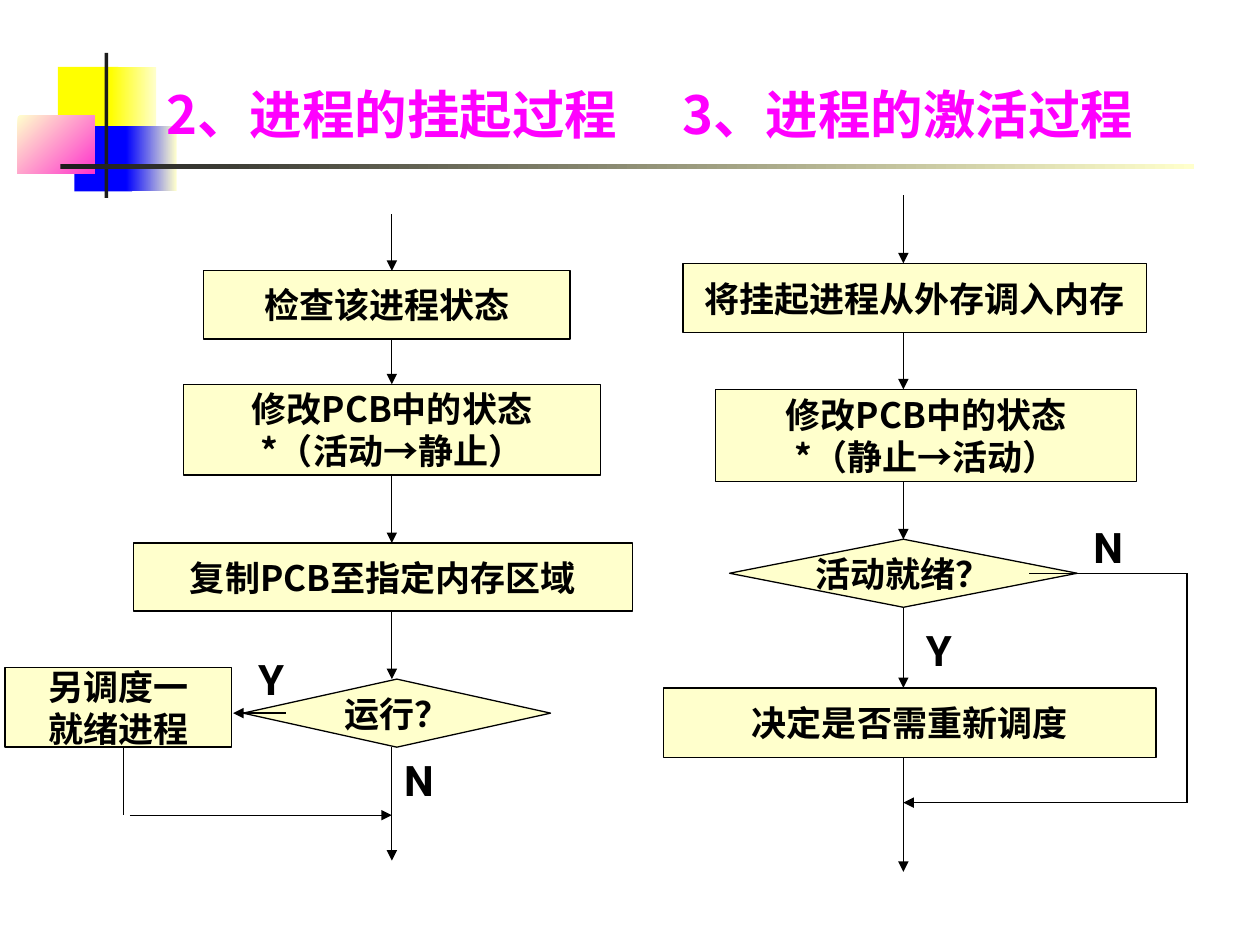
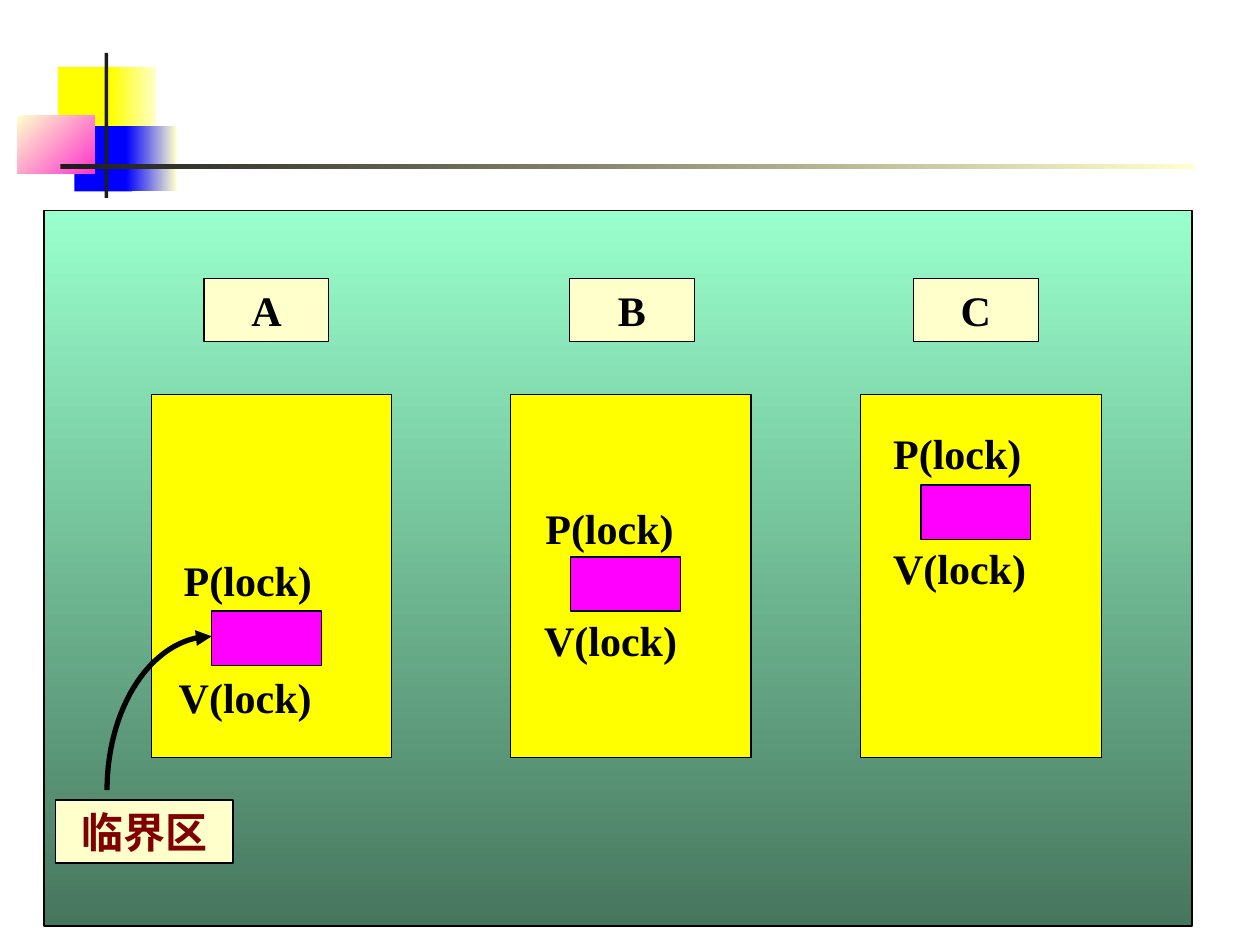
from math import cos, pi, sin

from lxml.etree import SubElement
from pptx import Presentation
from pptx.dml.color import RGBColor
from pptx.enum.shapes import MSO_CONNECTOR, MSO_SHAPE
from pptx.enum.text import MSO_ANCHOR, PP_ALIGN
from pptx.oxml.ns import qn
from pptx.util import Inches, Pt

BLACK = RGBColor(0x00, 0x00, 0x00)
CHARCOAL = RGBColor(0x1C, 0x1C, 0x1C)
YELLOW = RGBColor(0xFF, 0xFF, 0x00)
CREAM = RGBColor(0xFF, 0xFF, 0xCC)
BLUE = RGBColor(0x00, 0x00, 0xFF)
PINK = RGBColor(0xFF, 0x33, 0xCC)
MAGENTA = RGBColor(0xFF, 0x00, 0xFF)
MINT = RGBColor(0x99, 0xFF, 0xCC)
FOREST = RGBColor(0x47, 0x76, 0x5E)
MAROON = RGBColor(0x80, 0x00, 0x00)

CHINESE = "Noto Sans CJK SC"
LETTER = "Roboto"
SERIF = "Times New Roman"

TITLE_ONLY, BLANK = 5, 6
TOP, BOTTOM = 0, 2
PROCESS, DECISION = MSO_SHAPE.FLOWCHART_PROCESS, MSO_SHAPE.FLOWCHART_DECISION


def add_box(page, left, top, width, height, fill, kind=MSO_SHAPE.RECTANGLE, outlined=True):
    """Add a shape; a fill of (start, end, clockwise angle) makes a gradient."""
    box = page.shapes.add_shape(kind, Inches(left), Inches(top), Inches(width), Inches(height))
    box.shadow.inherit = False
    if isinstance(fill, RGBColor):
        box.fill.solid()
        box.fill.fore_color.rgb = fill
    else:
        start, end, angle = fill
        box.fill.gradient()
        box.fill.gradient_angle = 360 - angle
        for stop, colour in zip(box.fill.gradient_stops, (start, end)):
            stop.color.rgb = colour
    if outlined:
        box.line.color.rgb = BLACK
        box.line.width = Pt(0.75)
    else:
        box.line.fill.background()
    return box


def write(frame, text, size, font, colour=BLACK, align=PP_ALIGN.CENTER):
    """Write one bold paragraph a line, with each arrow sign in the serif font."""
    for number, line in enumerate(text.split("\n")):
        para = frame.add_paragraph() if number else frame.paragraphs[0]
        para.alignment = align
        for part in filter(None, line.partition("→")):
            span = para.add_run()
            span.text = part
            span.font.size = Pt(size)
            span.font.bold = True
            span.font.color.rgb = colour
            span.font.name = SERIF if part == "→" else font
            east_asian = SubElement(span.font._element, qn("a:ea"))
            east_asian.set("typeface", CHINESE)


def add_label(page, left, top, width, text, font):
    label = page.shapes.add_textbox(Inches(left), Inches(top), Inches(width), Inches(0.5))
    label.text_frame.word_wrap = True
    write(label.text_frame, text, 24, font, align=PP_ALIGN.LEFT)


def add_tag(page, left, top, width, text, colour=BLACK):
    tag = add_box(page, left, top, width, 0.5, CREAM)
    tag.text_frame.vertical_anchor = MSO_ANCHOR.MIDDLE
    write(tag.text_frame, text, 24, SERIF, colour)


def add_step(page, centre, top, width, height, text, kind=PROCESS):
    step = add_box(page, centre - width / 2, top, width, height, CREAM, kind)
    step.text_frame.word_wrap = False
    step.text_frame.vertical_anchor = MSO_ANCHOR.MIDDLE
    write(step.text_frame, text, 20, CHINESE)
    return step


def add_arrowhead(line):
    outline = line.element.spPr.find(qn("a:ln"))
    SubElement(outline, qn("a:tailEnd")).set("type", "triangle")


def add_line(page, start, end, arrow=True):
    points = [Inches(value) for value in (*start, *end)]
    line = page.shapes.add_connector(MSO_CONNECTOR.STRAIGHT, *points)
    line.line.color.rgb = BLACK
    line.line.width = Pt(0.75)
    if arrow:
        add_arrowhead(line)
    SubElement(line.element.spPr, qn("a:effectLst"))
    return line


def add_flow(page, axis, entry, steps, end):
    """Stack steps and run arrows down the axis, joined to steps centred on it."""
    previous, start = None, entry
    for centre, top, width, height, *content in steps:
        step = add_step(page, centre, top, width, height, *content)
        arrow = add_line(page, (axis, start), (axis, top))
        if previous:
            arrow.begin_connect(previous, BOTTOM)
        previous = step if centre == axis else None
        if previous:
            arrow.end_connect(step, TOP)
        start = top + height
    arrow = add_line(page, (axis, start), (axis, end))
    if previous:
        arrow.begin_connect(previous, BOTTOM)


def add_curved_arrow(page, left, top, width, height):
    """Draw a quarter ellipse from the bottom left up to the top right."""
    angles = [pi / 2 * number / 30 for number in range(31)]
    points = [(Inches(left + width * (1 - cos(angle))),
               Inches(top + height * (1 - sin(angle)))) for angle in angles]
    builder = page.shapes.build_freeform(*points[0])
    builder.add_line_segments(points[1:], close=False)
    curve = builder.convert_to_shape()
    curve.shadow.inherit = False
    curve.fill.background()
    curve.line.color.rgb = BLACK
    curve.line.width = Pt(3)
    add_arrowhead(curve)


def add_page(deck, layout):
    """Add a page with the coloured squares and the crossing rules."""
    page = deck.slides.add_slide(deck.slide_layouts[layout])
    for left, top, width, height, fill in (
        (0.46, 0.53, 0.48, 0.52, YELLOW),
        (0.88, 0.53, 0.36, 0.52, (YELLOW, CREAM, 0)),
        (0.59, 1, 0.46, 0.52, BLUE),
        (1, 1, 0.4, 0.52, (BLUE, CREAM, 0)),
        (0.14, 0.92, 0.61, 0.46, (CREAM, PINK, 45)),
        (0.83, 0.42, 0.03, 1.15, CHARCOAL),
        (0.48, 1.3, 9, 0.04, (CHARCOAL, CREAM, 0)),
    ):
        add_box(page, left, top, width, height, fill, outlined=False)
    return page


def place_heading(heading, left, width, text):
    heading.left, heading.top = Inches(left), Inches(0.6)
    heading.width, heading.height = Inches(width), Inches(0.6)
    heading.text_frame.word_wrap = True
    heading.text_frame.vertical_anchor = MSO_ANCHOR.TOP
    write(heading.text_frame, text, 30, CHINESE, MAGENTA)


def add_suspend_flow(page):
    axis = 3.11
    add_flow(page, axis, 1.7, (
        (3.07, 2.15, 2.91, 0.54, "检查该进程状态"),
        (axis, 3.05, 3.31, 0.72, "修改PCB中的状态\n*（活动→静止）"),
        (3.04, 4.31, 3.96, 0.54, "复制PCB至指定内存区域"),
        (3.15, 5.39, 2.44, 0.54, "运行？", DECISION),
    ), 6.83)
    add_step(page, 0.94, 5.3, 1.8, 0.63, "另调度一\n就绪进程")
    add_line(page, (2.27, 5.66), (1.85, 5.66))
    add_line(page, (0.98, 5.93), (0.98, 6.47), arrow=False)
    add_line(page, (1.03, 6.47), (axis, 6.47))
    add_label(page, 1.95, 5.14, 0.45, "Y", LETTER)
    add_label(page, axis, 5.94, 0.45, "N", LETTER)


def add_activate_flow(page):
    axis, bypass = 7.17, 9.42
    add_flow(page, axis, 1.55, (
        (7.26, 2.09, 3.68, 0.55, "将挂起进程从外存调入内存"),
        (7.35, 3.09, 3.34, 0.73, "修改PCB中的状态\n*（静止→活动）"),
        (axis, 4.28, 2.76, 0.54, "活动就绪？", DECISION),
        (7.22, 5.46, 3.91, 0.55, "决定是否需重新调度"),
    ), 6.92)
    add_line(page, (8.17, 4.55), (bypass, 4.55), arrow=False)
    add_line(page, (bypass, 4.55), (bypass, 6.37), arrow=False)
    add_line(page, (bypass, 6.37), (axis, 6.37))
    add_label(page, 8.58, 4.09, 0.75, "N", LETTER)
    add_label(page, 7.25, 4.91, 0.92, "Y", LETTER)


def add_process(page, name, name_left, lane_left, section_top, lock, unlock):
    """Add a process lane whose critical section sits between lock and unlock."""
    add_tag(page, name_left, 2.21, 0.99, name)
    add_box(page, lane_left, 3.13, 1.91, 2.88, YELLOW)
    add_box(page, lane_left + 0.48, section_top, 0.87, 0.43, MAGENTA)
    add_label(page, *lock, 1.65, "P(lock)", SERIF)
    add_label(page, *unlock, 1.65, "V(lock)", SERIF)


def build_flow_page(deck):
    page = add_page(deck, TITLE_ONLY)
    title = page.shapes.title
    title.element.getparent().append(title.element)  # in front of the squares
    place_heading(title, 1.06, 4.1, "2、进程的挂起过程")
    second = page.shapes.add_textbox(0, 0, 0, 0)
    place_heading(second, 5.08, 4.25, "3、进程的激活过程")
    add_suspend_flow(page)
    add_activate_flow(page)


def build_lock_page(deck):
    page = add_page(deck, BLANK)
    add_box(page, 0.35, 1.67, 9.11, 5.68, (MINT, FOREST, 90))
    add_process(page, "A", 1.62, 1.2, 4.85, (1.36, 4.35), (1.32, 5.28))
    add_process(page, "B", 4.52, 4.05, 4.42, (4.23, 3.94), (4.22, 4.83))
    add_process(page, "C", 7.25, 6.83, 3.85, (6.99, 3.34), (6.99, 4.26))
    add_tag(page, 0.44, 6.35, 1.41, "临界区", MAROON)
    add_curved_arrow(page, 0.85, 5.05, 0.83, 1.22)


def main():
    deck = Presentation()
    deck.slide_width, deck.slide_height = Inches(10), Inches(7.5)
    build_flow_page(deck)
    build_lock_page(deck)
    deck.save("out.pptx")


if __name__ == "__main__":
    main()
